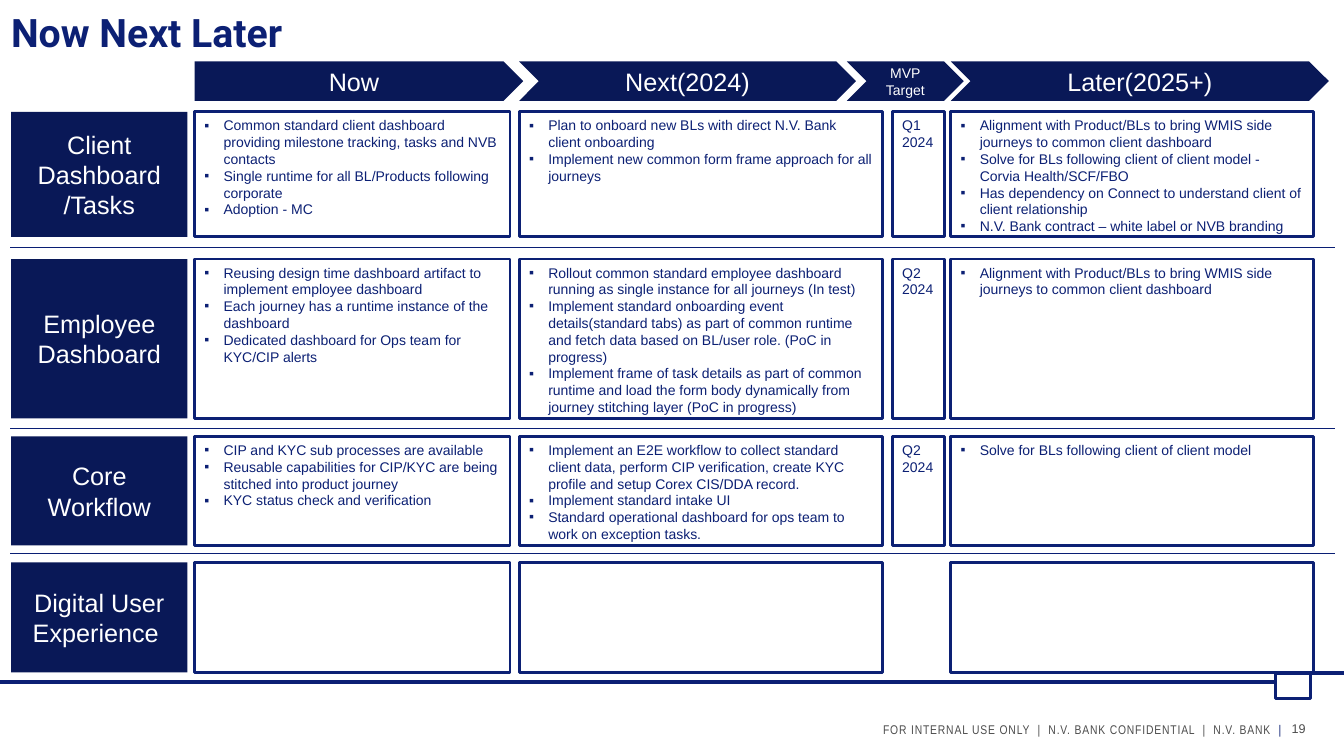
from lxml import etree
from pptx import Presentation
from pptx.dml.color import RGBColor
from pptx.enum.shapes import MSO_CONNECTOR, MSO_SHAPE
from pptx.enum.text import MSO_ANCHOR, MSO_AUTO_SIZE, PP_ALIGN
from pptx.oxml.ns import qn
from pptx.util import Inches, Pt

RECT, PLATE, CHEV = MSO_SHAPE.RECTANGLE, MSO_SHAPE.PENTAGON, MSO_SHAPE.CHEVRON
LINE = MSO_CONNECTOR.STRAIGHT
TOP, MID, BASE = MSO_ANCHOR.TOP, MSO_ANCHOR.MIDDLE, MSO_ANCHOR.BOTTOM
LEFT, MIDDLE, RIGHT = PP_ALIGN.LEFT, PP_ALIGN.CENTER, PP_ALIGN.RIGHT
COLORS = {"dark": "091857", "navy": "0C2074", "rule": "091E74",
          "grey": "4D4D4D", "white": "FFFFFF"}


def color(name):
    return RGBColor.from_string(COLORS[name])


class Board:
    """Style and drawing methods for one slide."""

    def __init__(self, slide):
        self.slide = slide
        self.shapes = slide.shapes

    def run(self, para, text, size, ink, font="Arial", bold=False):
        run = para.add_run()
        run.text = text
        run.font.size, run.font.name, run.font.bold = Pt(size), font, bold
        run.font.color.rgb = color(ink)
        return run

    def frame(self, shape, anchor, inset=True):
        frame = shape.text_frame
        frame.word_wrap = True
        frame.auto_size = MSO_AUTO_SIZE.NONE
        frame.vertical_anchor = anchor
        if not inset:
            frame.margin_left = frame.margin_right = 0
            frame.margin_top = frame.margin_bottom = 0
        return frame

    def lines(self, frame, texts, size, ink, align, bullet=False):
        for i, text in enumerate(texts):
            para = frame.add_paragraph() if i else frame.paragraphs[0]
            para.alignment = align
            if bullet:
                props = para._p.get_or_add_pPr()
                props.set("marL", str(Inches(0.19)))
                props.set("indent", str(-Inches(0.19)))
                etree.SubElement(props, qn("a:buFont")).set("typeface", "Arial")
                etree.SubElement(props, qn("a:buChar")).set("char", "▪")
            self.run(para, text, size, ink)

    def title(self, text, *box):
        shape = self.shapes.title
        shape.left, shape.top, shape.width, shape.height = map(Inches, box)
        para = self.frame(shape, BASE, False).paragraphs[0]
        para.alignment = LEFT
        self.run(para, text, 28, "navy", "Roboto", True)

    def block(self, kind, box, fill, edge=None):
        shape = self.shapes.add_shape(kind, *map(Inches, box))
        shape.shadow.inherit = False
        shape.fill.solid()
        shape.fill.fore_color.rgb = color(fill)
        if edge:
            shape.line.color.rgb = color(edge)
            shape.line.width = Pt(2)
        else:
            shape.line.fill.background()
        return shape

    def label(self, kind, box, texts, size=18):
        shape = self.block(kind, box, "dark")
        self.lines(self.frame(shape, MID), texts, size, "white", MIDDLE)

    def card(self, box, texts, bullet=True):
        shape = self.block(RECT, box, "white", "navy")
        self.lines(self.frame(shape, TOP), texts, 10, "navy", LEFT, bullet)

    def rule(self, x1, y1, x2, y2, ink="rule", width=0.75):
        line = self.shapes.add_connector(LINE, *map(Inches, (x1, y1, x2, y2)))
        line.line.color.rgb = color(ink)
        line.line.width = Pt(width)
        etree.SubElement(line._element.spPr, qn("a:effectLst"))

    def note(self, box, align):
        shape = self.shapes.add_textbox(*map(Inches, box))
        para = self.frame(shape, BASE, False).paragraphs[0]
        para.alignment = align
        return para


# Column heads: shape, left, width, lines, size
HEADS = [
    (PLATE, 1.93, 3.26, ["Now"], 18),
    (CHEV, 5.15, 3.34, ["Next(2024)"], 18),
    (CHEV, 8.4, 1.16, ["MVP", "Target"], 10),
    (CHEV, 9.43, 3.75, ["Later(2025+)"], 18),
]
# Card columns: left, width
COLS = [(1.93, 3.13), (5.15, 3.6), (9.43, 3.6)]
# Rows: top, height, name, target quarter, cards for now, next and later
ROWS = [
    (1.11, 1.24, ["Client Dashboard", "/Tasks"], "Q1", [
        ["Common standard client dashboard providing milestone tracking, "
         "tasks and NVB contacts",
         "Single runtime for all BL/Products following corporate",
         "Adoption - MC"],
        ["Plan to onboard new BLs with direct N.V. Bank client onboarding",
         "Implement new common form frame approach for all journeys"],
        ["Alignment with Product/BLs to bring WMIS side journeys to common "
         "client dashboard",
         "Solve for BLs following client of client model - "
         "Corvia Health/SCF/FBO",
         "Has dependency on Connect to understand client of client "
         "relationship",
         "N.V. Bank contract – white label or NVB branding"]]),
    (2.57, 1.58, ["Employee Dashboard"], "Q2", [
        ["Reusing design time dashboard artifact to implement employee "
         "dashboard",
         "Each journey has a runtime instance of the dashboard",
         "Dedicated dashboard for Ops team for KYC/CIP alerts"],
        ["Rollout common standard employee dashboard running as single "
         "instance for all journeys (In test)",
         "Implement standard onboarding event details(standard tabs) as part "
         "of common runtime and fetch data based on BL/user role. (PoC in "
         "progress)",
         "Implement frame of task details as part of common runtime and load "
         "the form body dynamically from journey stitching layer (PoC in "
         "progress)"],
        ["Alignment with Product/BLs to bring WMIS side journeys to common "
         "client dashboard"]]),
    (4.33, 1.08, ["Core Workflow"], "Q2", [
        ["CIP and KYC sub processes are available",
         "Reusable capabilities for CIP/KYC are being stitched into product "
         "journey",
         "KYC status check and verification"],
        ["Implement an E2E workflow to collect standard client data, perform "
         "CIP verification, create KYC profile and setup Corex CIS/DDA "
         "record.",
         "Implement standard intake UI",
         "Standard operational dashboard for ops team to work on exception "
         "tasks."],
        ["Solve for BLs following client of client model"]]),
    (5.58, 1.09, ["Digital User Experience "], None, [[], [], []]),
]


def main():
    deck = Presentation()
    deck.slide_width, deck.slide_height = Inches(13.33), Inches(7.5)
    board = Board(deck.slides.add_slide(deck.slide_layouts[5]))

    # Footer band with a plain end box
    board.rule(0, 6.77, 12.65, 6.77, "navy", 3)
    board.rule(12.65, 6.68, 13.33, 6.68, "navy", 3)
    board.block(RECT, (12.65, 6.68, 0.35, 0.25), "white", "navy")

    # Footer text and page number
    para = board.note((2.11, 7.11, 10.6, 0.2), RIGHT)
    for text, ink in [("FOR INTERNAL USE ONLY  |  N.V. BANK CONFIDENTIAL  |  "
                       "N.V. BANK ", "grey"), (" |", "navy")]:
        run = board.run(para, text, 9, ink, "Arial Narrow")
        run.font._element.set("spc", "60")
    board.run(board.note((12.81, 7.11, 0.52, 0.19), LEFT), "19", 9, "grey")

    # Title and column heads
    board.title("Now Next Later", 0.11, 0.04, 12, 0.51)
    for kind, left, width, texts, size in HEADS:
        board.label(kind, (left, 0.61, width, 0.39), texts, size)

    # Rows of cards
    for top, high, name, quarter, cards in ROWS:
        board.label(RECT, (0.11, top, 1.75, high), name)
        for (left, width), texts in zip(COLS, cards):
            board.card((left, top, width, high), texts)
        if quarter:
            board.card((8.85, top, 0.52, high), [quarter, "2024"], False)

    # Lines between rows
    for y in (2.46, 4.25, 5.49):
        board.rule(0.1, y, 13.24, y)

    deck.save("out.pptx")


if __name__ == "__main__":
    main()
